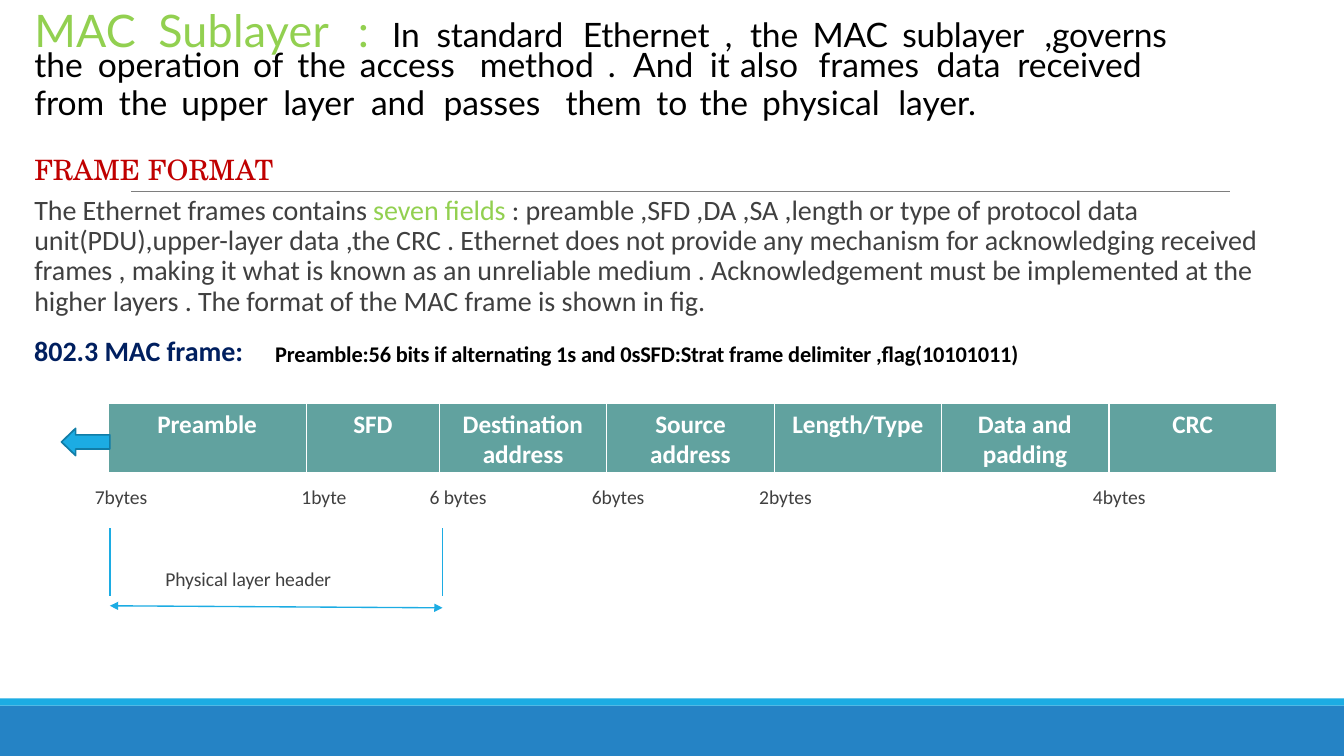
from dataclasses import dataclass

from lxml import etree
from pptx import Presentation, util as u
from pptx.dml.color import RGBColor
from pptx.enum import shapes, text
from pptx.oxml import ns


@dataclass(frozen=True)
class Theme:
    green: str = "92D050"
    black: str = "000000"
    grey: str = "404040"
    red: str = "C00000"
    navy: str = "001F5F"
    white: str = "FFFFFF"
    teal: str = "61A29F"
    sky: str = "1CACE3"
    sky_edge: str = "117DA7"
    footer: str = "2583C5"
    rule: str = "7E7E7E"
    display: str = "Lato"
    body: str = "Calibri"
    serif: str = "TeX Gyre Schola"
    title_size: int = 32
    lead_size: int = 24
    body_size: int = 20
    table_size: int = 18
    note_size: int = 16
    label_size: int = 14


def rgb(color):
    return RGBColor.from_string(color)


def add_xml(parent, tag, **attributes):
    return etree.SubElement(parent, ns.qn(tag), attributes)


def write(paragraph, wording, *, size, color, font, bold=False, spacing=0):
    """Append a run; spacing is between letters, in hundredths of a point."""
    run = paragraph.add_run()
    run.text = wording
    run.font.size = u.Pt(size)
    run.font.name = font
    run.font.bold = bold
    run.font.color.rgb = rgb(color)
    if spacing:
        run._r.get_or_add_rPr().set("spc", str(spacing))


def set_tabs(paragraph, positions):
    tab_list = add_xml(paragraph._p.get_or_add_pPr(), "a:tabLst")
    for position in positions:
        add_xml(tab_list, "a:tab", pos=str(u.Inches(position)), algn="l")


class SlideBuilder:
    def __init__(self, slide, theme):
        self.slide = slide
        self.theme = theme

    def frame(self, shape, left, top, width, height):
        shape.left, shape.top = u.Inches(left), u.Inches(top)
        shape.width, shape.height = u.Inches(width), u.Inches(height)
        frame = shape.text_frame
        frame.word_wrap = True
        frame.auto_size = text.MSO_AUTO_SIZE.NONE
        frame.vertical_anchor = text.MSO_ANCHOR.TOP
        frame.margin_left = u.Inches(0.01)
        frame.margin_top = u.Inches(0.03)
        frame.margin_right = frame.margin_bottom = 0
        frame.paragraphs[0].alignment = text.PP_ALIGN.LEFT
        return frame

    def title(self, *box):
        return self.frame(self.slide.shapes.title, *box)

    def text_box(self, *box):
        return self.frame(self.slide.shapes.add_textbox(0, 0, 0, 0), *box)

    def label(self, wording, *box, **style):
        style = {"size": self.theme.label_size, "color": self.theme.grey,
                 "font": self.theme.body, "spacing": -5} | style
        write(self.text_box(*box).paragraphs[0], wording, **style)

    def shape(self, kind, left, top, width, height, fill, line=None):
        shape = self.slide.shapes.add_shape(
            kind, u.Inches(left), u.Inches(top), u.Inches(width), u.Inches(height))
        shape.shadow.inherit = False
        shape.fill.solid()
        shape.fill.fore_color.rgb = rgb(fill)
        if line:
            shape.line.color.rgb = rgb(line)
            shape.line.width = u.Pt(1.2)
        else:
            shape.line.fill.background()
        return shape

    def line(self, x1, y1, x2, y2, color, width, arrows=False):
        connector = self.slide.shapes.add_connector(
            shapes.MSO_CONNECTOR.STRAIGHT,
            u.Inches(x1), u.Inches(y1), u.Inches(x2), u.Inches(y2))
        connector.line.color.rgb = rgb(color)
        connector.line.width = u.Pt(width)
        if arrows:
            for end in ("a:headEnd", "a:tailEnd"):
                add_xml(connector.line._get_or_add_ln(), end, type="triangle")
        add_xml(connector._element.spPr, "a:effectLst")

    def field_table(self, left, top, height, fields):
        theme = self.theme
        total = sum(width for _, width, _, _ in fields)
        table = self.slide.shapes.add_table(
            1, len(fields), u.Inches(left), u.Inches(top),
            u.Inches(total), u.Inches(height)).table
        table.first_row = table.horz_banding = False
        table.rows[0].height = u.Inches(height)
        for column, (name, width, margin, indent) in enumerate(fields):
            table.columns[column].width = u.Inches(width)
            cell = table.cell(0, column)
            cell.margin_left = cell.margin_right = cell.margin_bottom = 0
            cell.margin_top = u.Inches(0.06)
            # White borders, heavier below
            for side, weight in (("L", 1), ("R", 1), ("T", 1), ("B", 3)):
                border = add_xml(cell._tc.get_or_add_tcPr(), f"a:ln{side}",
                                 w=str(u.Pt(weight)))
                add_xml(add_xml(border, "a:solidFill"), "a:srgbClr", val=theme.white)
            cell.fill.solid()
            cell.fill.fore_color.rgb = rgb(theme.teal)
            paragraph = cell.text_frame.paragraphs[0]
            if margin is None:
                paragraph.alignment = text.PP_ALIGN.CENTER
            else:
                properties = paragraph._p.get_or_add_pPr()
                properties.set("marL", str(u.Inches(margin)))
                properties.set("indent", str(u.Inches(indent)))
            write(paragraph, name, size=theme.table_size, color=theme.white,
                  font=theme.body, bold=True, spacing=-5)


def main():
    theme = Theme()
    presentation = Presentation()
    presentation.slide_width = u.Inches(13.33)
    presentation.slide_height = u.Inches(7.5)
    slide = presentation.slides.add_slide(presentation.slide_layouts[5])
    builder = SlideBuilder(slide, theme)

    # Footer bands and rule
    rectangle = shapes.MSO_SHAPE.RECTANGLE
    builder.shape(rectangle, 0, 7, 13.33, 0.5, theme.footer)
    builder.shape(rectangle, 0, 6.93, 13.33, 0.07, theme.sky)
    builder.line(1.3, 1.9, 12.2, 1.9, theme.rule, 0.48)

    # Title, running on into the definition
    lead = {"size": theme.lead_size, "color": theme.black, "font": theme.display}
    paragraph = builder.title(0.33, 0, 11.33, 0.56).paragraphs[0]
    set_tabs(paragraph, (1.23, 3.21, 3.55, 3.99, 5.44, 6.85, 7.1, 7.72, 8.61, 10.02))
    write(paragraph, "MAC\tSublayer\t:\t", size=theme.title_size, color=theme.green,
          font=theme.display, spacing=20)
    write(paragraph, "In\tstandard\tEthernet\t,\tthe\tMAC\tsublayer\t,governs",
          spacing=-10, **lead)

    # Rest of the definition
    frame = builder.text_box(0.33, 0.44, 12.28, 2.71)
    lead_lines = (
        ("the\toperation\tof\tthe\taccess\tmethod\t.\tAnd\tit\talso\tframes\tdata\treceived",
         (0.63, 2.17, 2.61, 3.23, 4.42, 5.69, 5.94, 6.7, 7, 7.78, 8.95, 9.75)),
        ("from\tthe\tupper\tlayer\tand\tpasses\tthem\tto\tthe\tphysical\tlayer.",
         (0.84, 1.46, 2.47, 3.34, 4.06, 5.27, 6.17, 6.6, 7.22, 8.57)),
    )
    for number, (wording, tabs) in enumerate(lead_lines):
        paragraph = frame.add_paragraph() if number else frame.paragraphs[0]
        set_tabs(paragraph, tabs)
        paragraph.line_spacing = u.Pt(26.6)
        write(paragraph, wording, **lead)

    # Frame format
    paragraph = frame.add_paragraph()
    paragraph.space_before = u.Pt(22.2)
    write(paragraph, "FRAME FORMAT", size=theme.body_size, color=theme.red,
          font=theme.serif)
    paragraph = frame.add_paragraph()
    paragraph.space_before = u.Pt(6.9)
    paragraph.line_spacing = 0.9
    for wording, color in (
        ("The Ethernet frames contains ", theme.grey),
        ("seven fields ", theme.green),
        (": preamble ,SFD ,DA ,SA ,length or type of protocol data "
         "unit(PDU),upper-layer data ,the CRC . Ethernet does not provide any "
         "mechanism for acknowledging received frames , making it what is known as "
         "an unreliable medium . Acknowledgement must be implemented at the higher "
         "layers . The format of the MAC frame is shown in fig.", theme.grey),
    ):
        write(paragraph, wording, size=theme.body_size, color=color,
              font=theme.body, spacing=-5)

    # Table heading and note
    builder.label("802.3 MAC frame:", 0.33, 3.28, 2.2, 0.36,
                  size=theme.body_size, color=theme.navy, bold=True)
    builder.label("Preamble:56 bits if alternating 1s and 0sSFD:Strat frame delimiter "
                  ",flag(10101011)", 2.72, 3.34, 7.7, 0.29,
                  size=theme.note_size, color=theme.black, bold=True, spacing=-10)

    # Frame fields: name, width, left margin (None centres), first-line indent
    builder.field_table(1.08, 4, 0.7, (
        ("Preamble", 1.96, 0.48, 0), ("SFD", 1.32, None, 0),
        ("Destination address", 1.66, 0.43, -0.2),
        ("Source address", 1.66, 0.43, 0.05),
        ("Length/Type", 1.66, 0.18, 0),
        ("Data and padding", 1.66, 0.41, -0.05), ("CRC", 1.66, None, 0)))
    arrow = builder.shape(shapes.MSO_SHAPE.LEFT_ARROW, 0.61, 4.25, 0.48, 0.27,
                          theme.sky, theme.sky_edge)
    arrow.adjustments[0] = arrow.adjustments[1] = 0.52

    # Field lengths
    for wording, left in (("7bytes", 0.93), ("1byte", 2.98), ("6 bytes", 4.25),
                          ("6bytes", 5.86), ("2bytes", 7.52), ("4bytes", 10.83)):
        builder.label(wording, left, 4.78, 0.65, 0.26)

    # Physical layer header span
    for x in (1.09, 4.39):
        builder.line(x, 5.24, x, 5.91, theme.sky, 0.96)
    builder.line(1.09, 6.01, 4.39, 6.03, theme.sky, 0.96, arrows=True)
    builder.label("Physical layer header", 1.63, 5.59, 1.8, 0.26)

    presentation.save("out.pptx")


if __name__ == "__main__":
    main()
